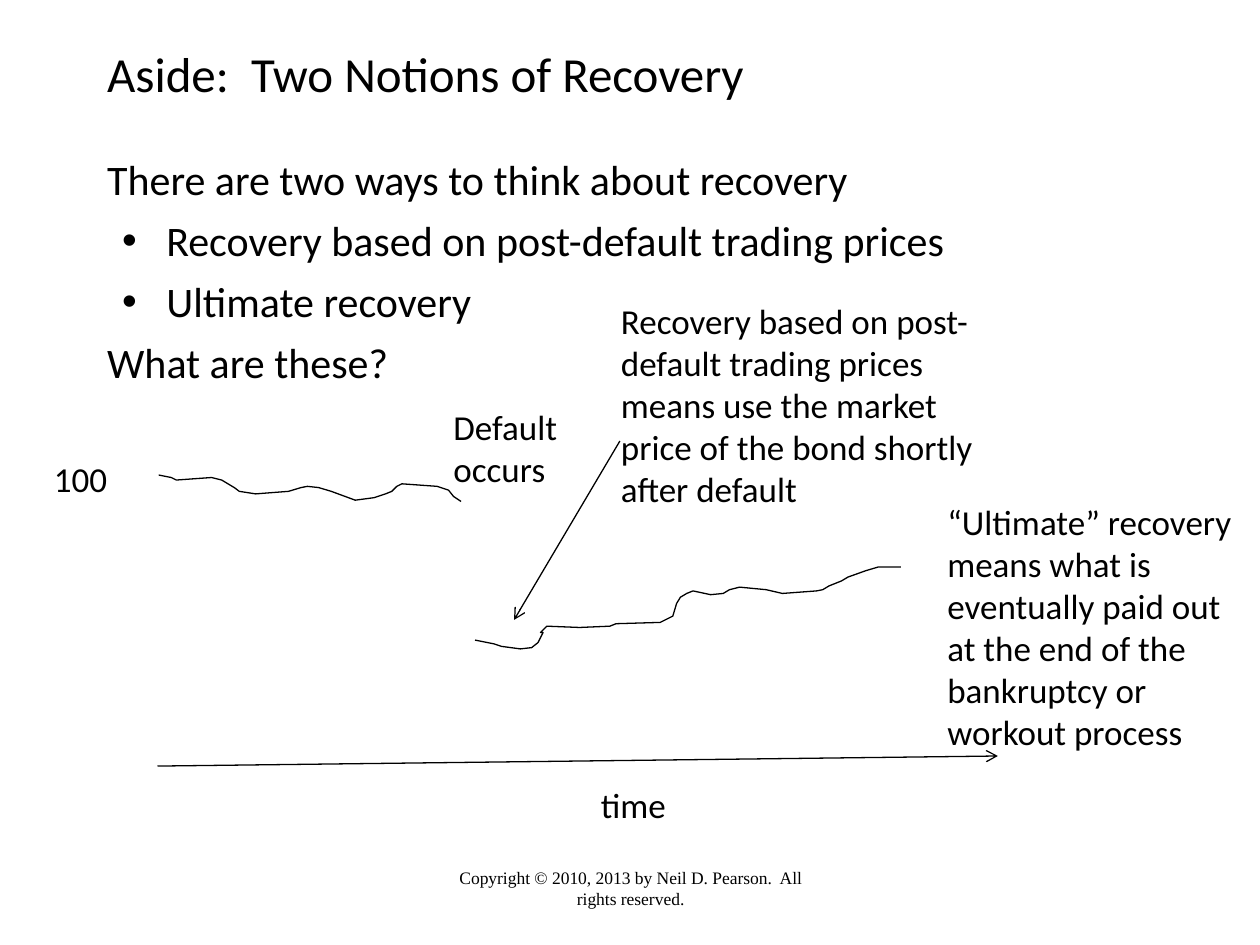
import pptx
import pptx.util
import pptx.dml.color
import pptx.enum.shapes
import pptx.enum.text
import pptx.oxml.ns
from lxml import etree

Inches, Pt = pptx.util.Inches, pptx.util.Pt
ALIGN = pptx.enum.text.PP_ALIGN
BLACK = pptx.dml.color.RGBColor(0, 0, 0)
BODY_FONT, FOOTER_FONT = "Calibri", "Times New Roman"

TITLE = "Aside:  Two Notions of Recovery"
BODY = [  # text, bulleted
    ("There are two ways to think about recovery", False),
    ("Recovery based on post-default trading prices", True),
    ("Ultimate recovery", True),
    ("What are these?", False),
]
COPYRIGHT = "Copyright © 2010, 2013 by Neil D. Pearson.  All rights reserved."
LABELS = [  # lines, (left, top, width, height)
    (["100"], (0.33, 3.58, 0.67, 0.44)),
    (["Default", "occurs"], (3.5, 3.17, 1.08, 0.77)),
    (["Recovery based on post-default trading prices means use the market "
      "price of the bond shortly after default"], (4.83, 2.33, 3.08, 1.77)),
    (["“Ultimate” recovery means what is eventually paid out at the end of "
      "the bankruptcy or workout process"], (7.42, 3.92, 2.58, 2.1)),
    (["time"], (4.67, 6.17, 0.92, 0.44)),
]
TIME_AXIS = ((1.25, 6.08), (7.92, 6))
POST_DEFAULT_POINTER = ((4.92, 3.5), (4.08, 4.92))
PRICE_BEFORE_DEFAULT = [
    (1.26, 3.77), (1.36, 3.79), (1.4, 3.81), (1.68, 3.79), (1.76, 3.81),
    (1.86, 3.87), (1.9, 3.9), (2.03, 3.92), (2.29, 3.9), (2.39, 3.87),
    (2.44, 3.86), (2.53, 3.87), (2.63, 3.9), (2.82, 3.97), (2.97, 3.95),
    (3.06, 3.92), (3.11, 3.9), (3.15, 3.86), (3.19, 3.84), (3.47, 3.86),
    (3.56, 3.89), (3.6, 3.94), (3.66, 3.98),
]
PRICE_AFTER_DEFAULT = [
    (3.77, 5.08), (3.92, 5.11), (3.98, 5.13), (4.13, 5.15), (4.22, 5.14),
    (4.27, 5.1), (4.31, 5.02), (4.29, 5.02), (4.34, 4.97), (4.6, 4.98),
    (4.84, 4.97), (4.89, 4.95), (5.24, 4.94), (5.34, 4.89), (5.37, 4.79),
    (5.4, 4.74), (5.45, 4.71), (5.5, 4.69), (5.64, 4.72), (5.74, 4.71),
    (5.79, 4.68), (5.87, 4.66), (6.08, 4.68), (6.21, 4.71), (6.48, 4.69),
    (6.53, 4.68), (6.58, 4.65), (6.68, 4.61), (6.73, 4.58), (6.87, 4.53),
    (6.97, 4.5), (7.15, 4.5),
]


def place(shape, left, top, width, height):
    shape.left, shape.top = Inches(left), Inches(top)
    shape.width, shape.height = Inches(width), Inches(height)


def style(paragraph, size, name=BODY_FONT, align=ALIGN.LEFT):
    paragraph.alignment = align
    paragraph.font.size = Pt(size)
    paragraph.font.name = name
    paragraph.font.color.rgb = BLACK


def set_bullet(paragraph, bulleted):
    properties = paragraph._p.get_or_add_pPr()
    properties.set("marL", str(Inches(0.47 if bulleted else 0)))
    properties.set("indent", str(Inches(-0.35 if bulleted else 0)))
    tag = "a:buChar" if bulleted else "a:buNone"
    bullet = etree.SubElement(properties, pptx.oxml.ns.qn(tag))
    if bulleted:
        bullet.set("char", "•")


def add_text(slide, lines, box, size, **look):
    frame = slide.shapes.add_textbox(*map(Inches, box)).text_frame
    frame.word_wrap = True
    frame.text = "\n".join(lines)
    for paragraph in frame.paragraphs:
        style(paragraph, size, **look)


def add_arrow(slide, start, end):
    arrow = slide.shapes.add_connector(
        pptx.enum.shapes.MSO_CONNECTOR.STRAIGHT, *map(Inches, start + end))
    arrow.line.color.rgb = BLACK
    arrow.line.width = Pt(0.75)
    head = etree.SubElement(arrow.line._get_or_add_ln(),
                            pptx.oxml.ns.qn("a:tailEnd"))
    head.set("type", "arrow")
    etree.SubElement(arrow._element.spPr, pptx.oxml.ns.qn("a:effectLst"))


def add_price_line(slide, points):
    start, *rest = [(Inches(x), Inches(y)) for x, y in points]
    builder = slide.shapes.build_freeform(*start)
    builder.add_line_segments(rest, close=False)
    curve = builder.convert_to_shape()
    curve.fill.background()
    curve.line.color.rgb = BLACK
    curve.line.width = Pt(0.75)
    curve.shadow.inherit = False


def main():
    presentation = pptx.Presentation()
    presentation.slide_width, presentation.slide_height = Inches(10), Inches(7.5)
    slide = presentation.slides.add_slide(presentation.slide_layouts[1])

    title, body = slide.shapes.title, slide.placeholders[1]
    place(title, 0.75, 0.33, 8.5, 0.5)
    title.text_frame.text = TITLE
    style(title.text_frame.paragraphs[0], 28)

    place(body, 0.75, 1.17, 8.5, 5.5)
    body.text_frame.text = "\n".join(text for text, _ in BODY)
    for index, paragraph in enumerate(body.text_frame.paragraphs):
        set_bullet(paragraph, BODY[index][1])
        paragraph.space_before = Pt(6 if index else 0)
        style(paragraph, 24)

    for start, end in (TIME_AXIS, POST_DEFAULT_POINTER):
        add_arrow(slide, start, end)
    for points in (PRICE_BEFORE_DEFAULT, PRICE_AFTER_DEFAULT):
        add_price_line(slide, points)
    for lines, box in LABELS:
        add_text(slide, lines, box, 20)
    add_text(slide, [COPYRIGHT], (3.42, 6.83, 3.17, 0.5), 10,
             name=FOOTER_FONT, align=ALIGN.CENTER)

    presentation.save("out.pptx")


if __name__ == "__main__":
    main()
